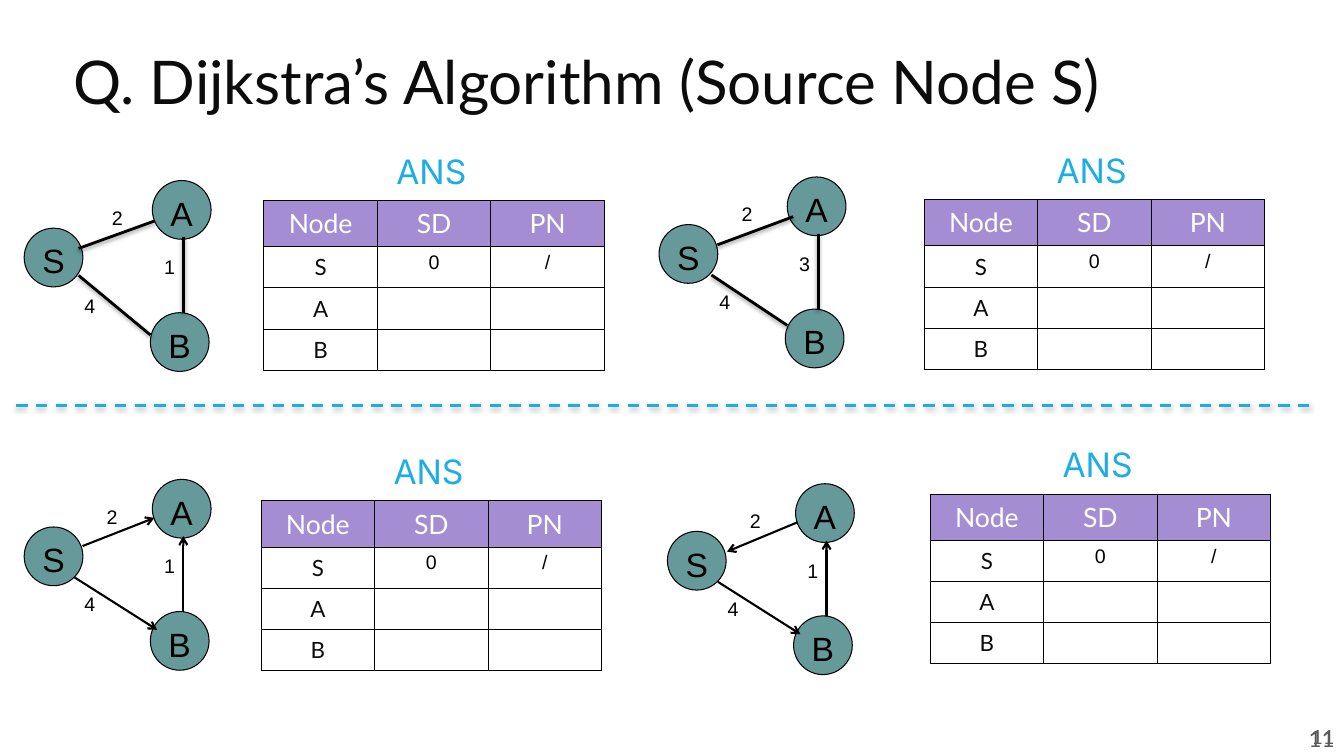
"""Build a slide with four Dijkstra exercises, each a weighted graph and its answer table."""
from dataclasses import dataclass

from lxml import etree
from pptx import Presentation
from pptx import util as u
from pptx.dml.color import RGBColor
from pptx.enum import dml, shapes, text
from pptx.oxml.ns import qn
from pptx.slide import Slide

BLACK = RGBColor(0x00, 0x00, 0x00)
WHITE = RGBColor(0xFF, 0xFF, 0xFF)
INK = RGBColor(0x0C, 0x0C, 0x0C)
GREY = RGBColor(0x59, 0x59, 0x59)
TEAL = RGBColor(0x66, 0x99, 0x99)
PURPLE = RGBColor(0xA4, 0x8D, 0xD3)
BLUE = RGBColor(0x1C, 0xAD, 0xE4)

CENTER = text.PP_ALIGN.CENTER
MIDDLE = text.MSO_ANCHOR.MIDDLE

NODE_SIZE = 1.48
NODES = {"S": (0, 0), "A": (3.23, -1.2), "B": (3.18, 2.13)}
ROWS = (("Node", "SD", "PN"), ("S", "0", "/"), ("A", "", ""), ("B", "", ""))
COLUMN_WIDTH = 2.86
HEADER_HEIGHT, ROW_HEIGHT = 1.14, 1.02
BA_EDGE = (4.01, 2.13, 4.01, 0.23)
ARROW_SB_EDGE = (1.27, 1.27, 3.35, 2.59)


@dataclass(frozen=True)
class Style:
    """Font, size, colour and alignment of a text."""
    font: str
    size: float
    color: RGBColor
    align: text.PP_ALIGN = text.PP_ALIGN.LEFT


@dataclass(frozen=True)
class Edge:
    """A line relative to its graph, with its weight and the weight's place."""
    ends: tuple[float, float, float, float]
    weight: str
    label: tuple[float, float]


@dataclass(frozen=True)
class Exercise:
    """One graph with its table, placed in centimetres."""
    graph: tuple[float, float]
    table: tuple[float, float]
    directed: bool
    sa: tuple[float, float, float, float]
    sb: tuple[float, float, float, float]
    ba_weight: str = "1"
    sa_label: float = 1.83

    def edges(self) -> tuple[Edge, ...]:
        """List the three edges of the graph."""
        return (Edge(self.sa, "2", (self.sa_label, -0.69)),
                Edge(self.sb, "4", (1.27, 1.52)),
                Edge(BA_EDGE, self.ba_weight, (3.28, 0.56)))


NODE_STYLE = Style("Arial", 24, BLACK, CENTER)
WEIGHT_STYLE = Style("Arial", 14, BLACK)
ANSWER_STYLE = Style("Inter", 24, BLUE, CENTER)
HEADER_STYLE = Style("Lato", 19, WHITE, CENTER)
NAME_STYLE = Style("Lato", 16, INK, CENTER)
VALUE_STYLE = Style("Arial", 14, BLACK, CENTER)

EXERCISES = (
    Exercise((0.61, 5.75), (6.65, 5.05), False, (1.37, 0.51, 3.28, -0.18),
             (1.37, 1.19, 3.18, 2.69), sa_label=1.96),
    Exercise((16.61, 5.66), (23.29, 5.03), False, (1.47, 0.51, 3.38, -0.2),
             (1.32, 1.27, 3.23, 2.54), ba_weight="3"),
    Exercise((0.61, 13.28), (6.58, 12.62), True, (1.47, 0.48, 3.28, -0.23), ARROW_SB_EDGE),
    Exercise((16.82, 13.39), (23.44, 12.45), True, (3.28, -0.23, 1.5, 0.51), ARROW_SB_EDGE),
)


def write(frame, words: str, style: Style) -> None:
    """Put one styled paragraph into a text frame."""
    para = frame.paragraphs[0]
    para.text = words
    para.alignment = style.align
    para.font.name = style.font
    para.font.size = u.Pt(style.size)
    para.font.color.rgb = style.color


def add_text(page: Slide, words: str, left: float, top: float, width: float, height: float,
             style: Style, anchor: text.MSO_ANCHOR = text.MSO_ANCHOR.TOP) -> None:
    """Add a wrapped text box."""
    box = page.shapes.add_textbox(u.Cm(left), u.Cm(top), u.Cm(width), u.Cm(height))
    box.text_frame.word_wrap = True
    box.text_frame.vertical_anchor = anchor
    write(box.text_frame, words, style)


def add_line(page: Slide, ends: tuple[float, ...], color: RGBColor, weight: float,
             arrow: bool = False, dashed: bool = False) -> None:
    """Add an arrow without shadow, or a plain line with a soft one."""
    line = page.shapes.add_connector(shapes.MSO_CONNECTOR.STRAIGHT, *map(u.Cm, ends))
    line.line.color.rgb = color
    line.line.width = u.Pt(weight)
    if dashed:
        line.line.dash_style = dml.MSO_LINE.DASH
    properties = line._element.spPr
    effects = etree.SubElement(properties, qn("a:effectLst"))
    if arrow:
        etree.SubElement(properties.find(qn("a:ln")), qn("a:tailEnd"), type="arrow")
    else:
        shadow = etree.SubElement(effects, qn("a:outerShdw"), blurRad=str(u.Pt(3.1)),
                                  dist=str(u.Pt(1.6)), dir="5400000", rotWithShape="0")
        tint = etree.SubElement(shadow, qn("a:srgbClr"), val=str(BLACK))
        etree.SubElement(tint, qn("a:alpha"), val="38000")


def add_node(page: Slide, name: str, left: float, top: float) -> None:
    """Add a named graph node."""
    node = page.shapes.add_shape(shapes.MSO_SHAPE.OVAL, u.Cm(left), u.Cm(top),
                                 u.Cm(NODE_SIZE), u.Cm(NODE_SIZE))
    node.shadow.inherit = False
    node.fill.solid()
    node.fill.fore_color.rgb = TEAL
    node.line.color.rgb = BLACK
    node.line.width = u.Pt(0.75)
    frame = node.text_frame
    frame.margin_left = frame.margin_right = frame.margin_bottom = 0
    frame.margin_top = u.Cm(0.15)
    frame.vertical_anchor = MIDDLE
    write(frame, name, NODE_STYLE)


def add_graph(page: Slide, exercise: Exercise) -> None:
    """Draw the nodes, edges and weights of one exercise."""
    left, top = exercise.graph
    for name, (dx, dy) in NODES.items():
        add_node(page, name, left + dx, top + dy)
    for edge in exercise.edges():
        x1, y1, x2, y2 = edge.ends
        add_line(page, (left + x1, top + y1, left + x2, top + y2), BLACK,
                 1.5 if exercise.directed else 2, arrow=exercise.directed)
        dx, dy = edge.label
        add_text(page, edge.weight, left + dx, top + dy, 1.47, 0.86, WEIGHT_STYLE)


def format_cell(cell, words: str, is_header: bool, is_name: bool) -> None:
    """Write one table cell with its borders and fill."""
    properties = cell._tc.get_or_add_tcPr()
    for side in ("a:lnL", "a:lnR", "a:lnT", "a:lnB"):
        border = etree.SubElement(properties, qn(side), w=str(u.Pt(0.75)))
        paint = etree.SubElement(border, qn("a:solidFill"))
        etree.SubElement(paint, qn("a:srgbClr"), val=str(BLACK))
    cell.fill.solid()
    cell.fill.fore_color.rgb = PURPLE if is_header else WHITE
    if is_header or is_name:
        cell.vertical_anchor = MIDDLE
        cell.margin_left = cell.margin_right = u.Cm(0.18)
        cell.margin_top = cell.margin_bottom = u.Cm(0.18)
    style = HEADER_STYLE if is_header else NAME_STYLE if is_name else VALUE_STYLE
    write(cell.text_frame, words, style)


def add_answer(page: Slide, left: float, top: float) -> None:
    """Add an answer table with its heading."""
    height = HEADER_HEIGHT + 3 * ROW_HEIGHT
    table = page.shapes.add_table(len(ROWS), 3, u.Cm(left), u.Cm(top),
                                  u.Cm(3 * COLUMN_WIDTH), u.Cm(height)).table
    table.first_row = table.horz_banding = False
    for column in table.columns:
        column.width = u.Cm(COLUMN_WIDTH)
    for i, values in enumerate(ROWS):
        table.rows[i].height = u.Cm(ROW_HEIGHT if i else HEADER_HEIGHT)
        for j, words in enumerate(values):
            format_cell(table.cell(i, j), words, i == 0, j == 0)
    add_text(page, "ANS", left + 1.03, top - 1.4, 6.38, 1.3, ANSWER_STYLE, MIDDLE)


def add_title(page: Slide, words: str) -> None:
    """Place and format the title placeholder."""
    title = page.shapes.title
    title.left, title.top, title.width, title.height = map(u.Cm, (1.6, 0.74, 31.06, 2.82))
    title.text_frame.vertical_anchor = MIDDLE
    title.text_frame.auto_size = text.MSO_AUTO_SIZE.NONE
    write(title.text_frame, words, Style("Lato", 43, INK))
    title.text_frame.paragraphs[0].line_spacing = 0.9


def main() -> None:
    """Build and save the deck."""
    deck = Presentation()
    deck.slide_width, deck.slide_height = u.Cm(33.87), u.Cm(19.05)
    page = deck.slides.add_slide(deck.slide_layouts[5])
    add_title(page, "Q. Dijkstra’s Algorithm (Source Node S)")
    for exercise in EXERCISES:
        add_graph(page, exercise)
        add_answer(page, *exercise.table)
    add_line(page, (0.41, 10.21, 32.99, 10.21), BLUE, 2, dashed=True)
    for size, top, height in ((14, 18.01, 1.09), (16, 18.03, 1.17)):
        add_text(page, "11", 32.28, top, 1.6, height,
                 Style("Lato", size, GREY, text.PP_ALIGN.RIGHT), MIDDLE)
    deck.save("out.pptx")


if __name__ == "__main__":
    main()
